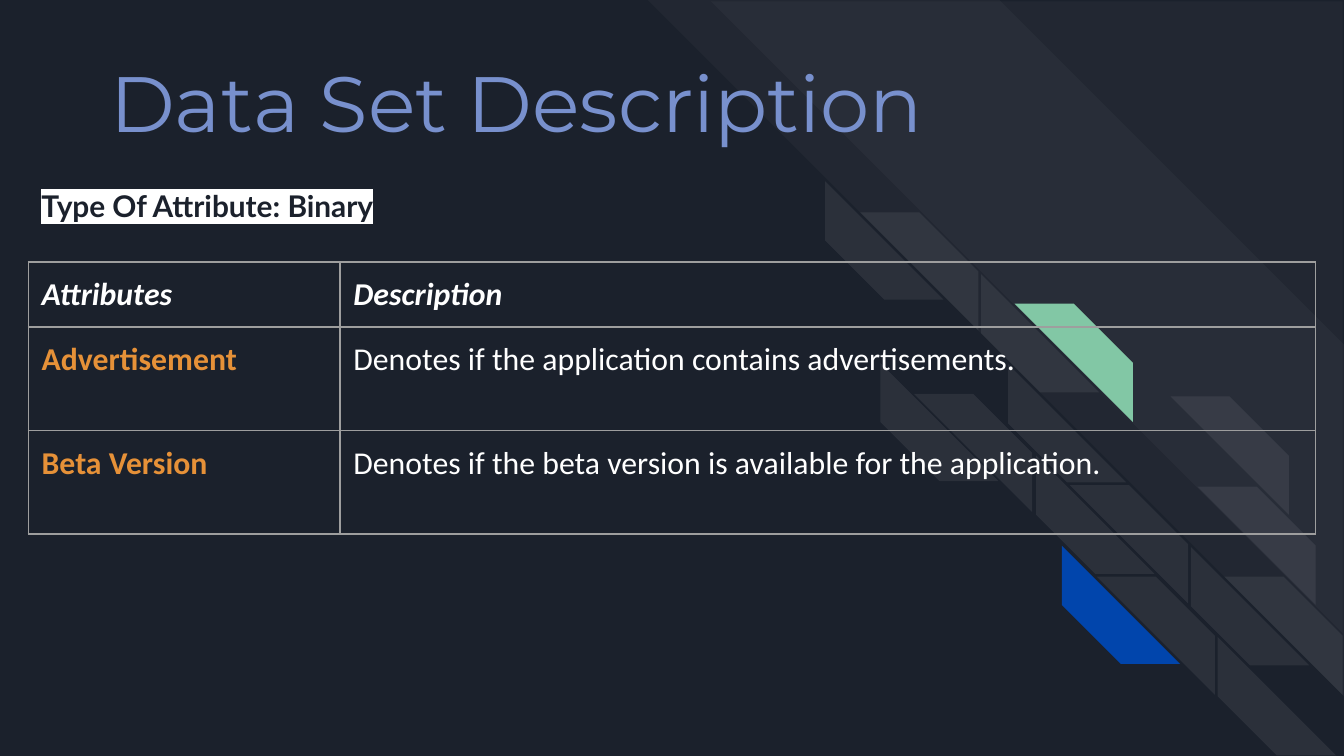
from dataclasses import dataclass

from lxml import etree
from pptx import Presentation
from pptx.dml.color import RGBColor
from pptx.enum.shapes import MSO_SHAPE
from pptx.enum.text import MSO_ANCHOR, PP_ALIGN
from pptx.oxml.ns import qn
from pptx.util import Inches, Pt

DIAGONAL_STRIPE = MSO_SHAPE.DIAGONAL_STRIPE
TOP = MSO_ANCHOR.TOP
LEFT = PP_ALIGN.LEFT


@dataclass(frozen=True)
class Theme:
    background: str = "1B212C"
    white: str = "FFFFFF"
    green: str = "82C7A5"
    blue: str = "0145AC"
    title: str = "7890CD"
    attribute: str = "E69138"
    border: str = "9E9E9E"
    title_size: int = 42
    label_size: int = 16
    table_size: int = 17


theme = Theme()


def add_stripe(shapes, left, top, size, rotation, bend, color, opacity):
    """Add a square diagonal stripe; an unrotated one is mirrored."""
    stripe = shapes.add_shape(
        DIAGONAL_STRIPE, Inches(left), Inches(top), Inches(size), Inches(size)
    )
    stripe.shadow.inherit = False
    stripe.adjustments[0] = bend
    stripe.rotation = rotation
    if rotation == 0:
        stripe._element.spPr.find(qn("a:xfrm")).set("flipH", "1")
    stripe.line.fill.background()
    stripe.fill.solid()
    stripe.fill.fore_color.rgb = RGBColor.from_string(color)
    if opacity < 100:
        color_element = stripe._element.spPr.find(qn("a:solidFill"))[0]
        etree.SubElement(color_element, qn("a:alpha"), val=str(opacity * 1000))


def write_text(frame, text, color, **font_values):
    """Write one left-aligned run with its format and return it."""
    paragraph = frame.paragraphs[0]
    paragraph.alignment = LEFT
    run = paragraph.add_run()
    run.text = text
    for name, value in font_values.items():
        setattr(run.font, name, value)
    run.font.color.rgb = RGBColor.from_string(color)
    return run


# Widescreen slide, 16:9
presentation = Presentation()
presentation.slide_width = Inches(10)
presentation.slide_height = Inches(10) * 9 // 16
slide = presentation.slides.add_slide(presentation.slide_layouts[5])
slide.background.fill.solid()
slide.background.fill.fore_color.rgb = RGBColor.from_string(theme.background)
box_format = {
    "margin_left": Inches(0.1),
    "margin_right": Inches(0.1),
    "margin_top": Inches(0.1),
    "margin_bottom": Inches(0.1),
    "vertical_anchor": TOP,
}

# Background pattern: two wide bands, then small stripes
decoration = slide.shapes.add_group_shape().shapes
add_stripe(decoration, 4.82, 0, 5.18, 90, 0.495, theme.white, 3)
add_stripe(decoration, 5.29, 0.01, 4.7, 90, 0, theme.white, 3)

small_stripes = [
    (6.14, 1.35, 270), (6.4, 1.58, 0),
    (6.55, 2.7, 270), (6.8, 2.93, 0),
    (7.3, 2.04, 270), (7.55, 2.26, 0),
    (7.5, 2.71, 270), (8.71, 2.95, 0), (8.91, 3.62, 0),
    (7.71, 3.39, 270), (7.96, 3.61, 0),
    (7.9, 4.06, 270), (8.16, 4.29, 0),
    (8.86, 4.07, 270), (9.11, 4.29, 0),
    (9.06, 4.74, 270),
]
accents = {(7.55, 2.26): theme.green, (7.9, 4.06): theme.blue}
for left, top, rotation in small_stripes:
    accent = accents.get((left, top))
    add_stripe(decoration, left, top, 0.88, rotation, 0.5,
               accent or theme.white, 100 if accent else 7)

# Title, brought in front of the pattern
title = slide.shapes.title
title.left, title.top = Inches(0.72), Inches(0.3)
title.width, title.height = Inches(8.42), Inches(1)
slide.shapes._spTree.append(title._element)
write_text(title.text_frame, "Data Set Description", theme.title,
           name="Montserrat", size=Pt(theme.title_size))

# Highlighted label
label = slide.shapes.add_textbox(Inches(0.21), Inches(1.3), Inches(7.28), Inches(0.81))
label_run = write_text(label.text_frame, "Type Of Attribute: Binary", theme.background,
                       name="Lato", size=Pt(theme.label_size), bold=True)
highlight = etree.Element(qn("a:highlight"))
etree.SubElement(highlight, qn("a:srgbClr"), val=theme.white)
label_run.font._element.find(qn("a:solidFill")).addnext(highlight)

for frame in (title.text_frame, label.text_frame):
    frame.word_wrap = True
    for name, value in box_format.items():
        setattr(frame, name, value)

# Attribute table
rows = [
    ("Attributes", "Description"),
    ("Advertisement", "Denotes if the application contains advertisements."),
    ("Beta Version", "Denotes if the beta version is available for the application."),
]
column_widths = [2.32, 7.26]
row_heights = [0.43, 0.77, 0.77]
table = slide.shapes.add_table(
    len(rows), len(column_widths), Inches(0.21), Inches(1.95),
    Inches(sum(column_widths)), Inches(sum(row_heights)),
).table
table.horz_banding = False
table.first_row = False
for column, width in zip(table.columns, column_widths):
    column.width = Inches(width)
for row, height in zip(table.rows, row_heights):
    row.height = Inches(height)

for row_index, texts in enumerate(rows):
    for column_index, text in enumerate(texts):
        cell = table.cell(row_index, column_index)
        is_header = row_index == 0
        is_attribute = column_index == 0 and not is_header
        for name, value in box_format.items():
            setattr(cell, name, value)
        write_text(cell.text_frame, text,
                   theme.attribute if is_attribute else theme.white,
                   name="Calibri", size=Pt(theme.table_size),
                   bold=is_header or is_attribute, italic=is_header)
        properties = cell._tc.get_or_add_tcPr()
        for side in ("a:lnL", "a:lnR", "a:lnT", "a:lnB"):
            border = etree.SubElement(properties, qn(side), w=str(Pt(0.75)))
            border_fill = etree.SubElement(border, qn("a:solidFill"))
            etree.SubElement(border_fill, qn("a:srgbClr"), val=theme.border)
        cell.fill.background()

presentation.save("out.pptx")
